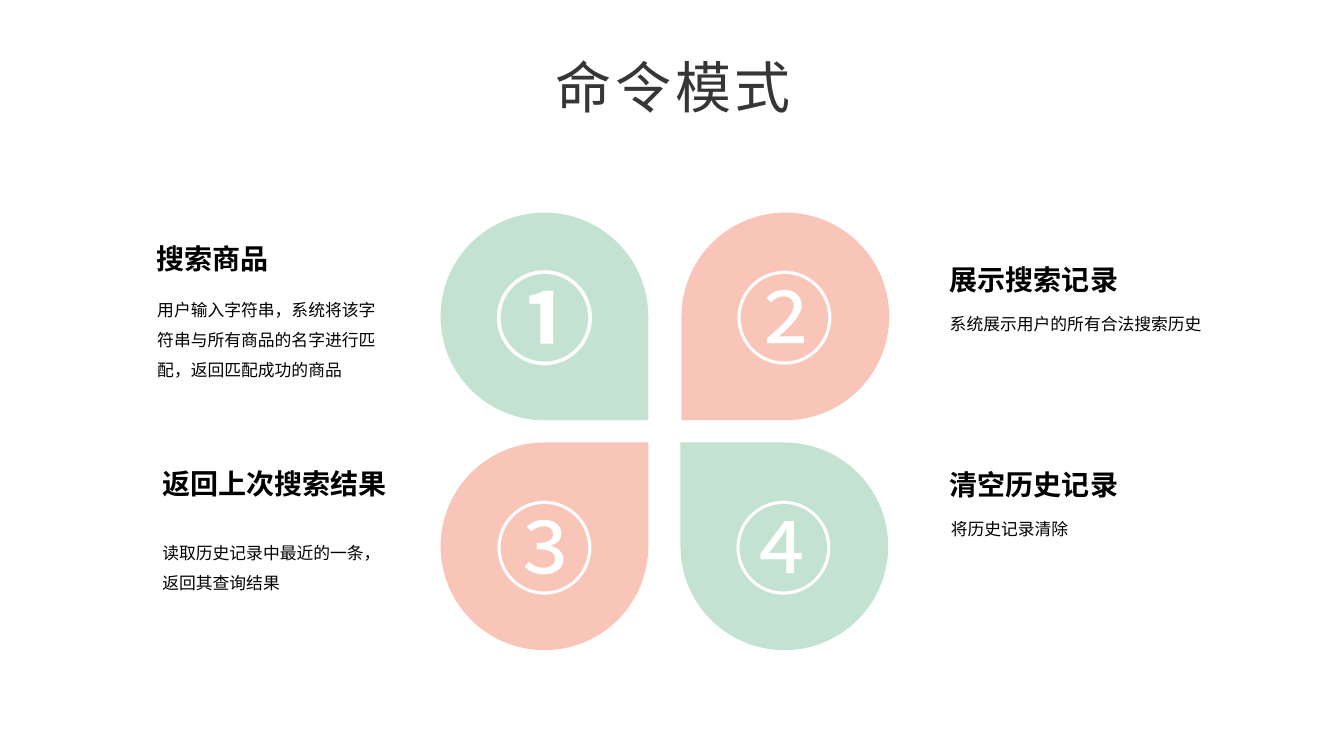
from dataclasses import dataclass

from lxml.etree import SubElement
from pptx import Presentation
from pptx.dml.color import RGBColor
from pptx.enum.shapes import MSO_SHAPE
from pptx.enum.text import MSO_ANCHOR, PP_ALIGN
from pptx.oxml.ns import qn
from pptx.util import Inches, Pt


@dataclass(frozen=True)
class Theme:
    font: str = "Noto Sans CJK SC"
    green: str = "C3E2D2"
    pink: str = "F9C5B8"
    white: str = "FFFFFF"
    black: str = "000000"
    title_color: str = "373536"
    title_size: int = 40
    number_size: int = 72
    heading_size: int = 20
    body_size: int = 12


theme = Theme()

prs = Presentation()
prs.slide_width, prs.slide_height = Inches(13.33), Inches(7.5)
slide = prs.slides.add_slide(prs.slide_layouts[6])


def add_text(text, box, size, color, bold=False, align=PP_ALIGN.LEFT,
             anchor=MSO_ANCHOR.TOP, line_spacing=None, inset=0):
    """Add a wrapping text box and return its only run."""
    frame = slide.shapes.add_textbox(*map(Inches, box)).text_frame
    frame.word_wrap = True
    frame.vertical_anchor = anchor
    frame.margin_left = frame.margin_right = Inches(inset)
    frame.margin_top = frame.margin_bottom = Inches(inset)
    paragraph = frame.paragraphs[0]
    paragraph.text = text
    paragraph.alignment = align
    paragraph.line_spacing = line_spacing
    run = paragraph.runs[0]
    run.font.size = Pt(size)
    run.font.bold = bold
    run.font.color.rgb = RGBColor.from_string(color)
    run.font.name = theme.font
    SubElement(run.font._element, qn("a:ea")).set("typeface", theme.font)
    return run


title = add_text("命令模式", (5.05, 0.47, 3.26, 0.77), theme.title_size,
                 theme.title_color, align=PP_ALIGN.CENTER, inset=0.05)
title.font._element.set("spc", "270")

# Petals: number, left, top, colour, flips that point the tip at the centre
PETAL = 2.06
petals = [
    ("①", 4.37, 2.11, theme.green, ["flipV"]),
    ("②", 6.76, 2.11, theme.pink, ["flipH", "flipV"]),
    ("③", 4.37, 4.39, theme.pink, []),
    ("④", 6.75, 4.39, theme.green, ["flipH"]),
]
for number, left, top, color, flips in petals:
    box = (left, top, PETAL, PETAL)
    petal = slide.shapes.add_shape(MSO_SHAPE.TEAR, *map(Inches, box))
    petal.shadow.inherit = False
    petal.fill.solid()
    petal.fill.fore_color.rgb = RGBColor.from_string(color)
    petal.line.fill.background()
    for flip in flips:
        petal._element.spPr.find(qn("a:xfrm")).set(flip, "1")
    add_text(number, box, theme.number_size, theme.white, bold=number == "①",
             align=PP_ALIGN.CENTER, anchor=MSO_ANCHOR.MIDDLE)

# Commands: heading, its left and top, description, its box
commands = [
    ("搜索商品", 1.55, 2.4,
     "用户输入字符串，系统将该字符串与所有商品的名字进行匹配，返回匹配成功的商品",
     (1.56, 2.87, 2.33, 1.22)),
    ("展示搜索记录", 9.42, 2.6,
     "系统展示用户的所有合法搜索历史", (9.42, 3.01, 2.87, 0.3)),
    ("返回上次搜索结果", 1.61, 4.63,
     "读取历史记录中最近的一条，返回其查询结果", (1.61, 5.28, 2.19, 0.61)),
    ("清空历史记录", 9.42, 4.64,
     "将历史记录清除", (9.43, 5.05, 2.85, 0.3)),
]
for heading, left, top, description, description_box in commands:
    add_text(heading, (left, top, 2.25, 0.34), theme.heading_size,
             theme.black, bold=True)
    add_text(description, description_box, theme.body_size, theme.black,
             line_spacing=1.5)

prs.save("out.pptx")
